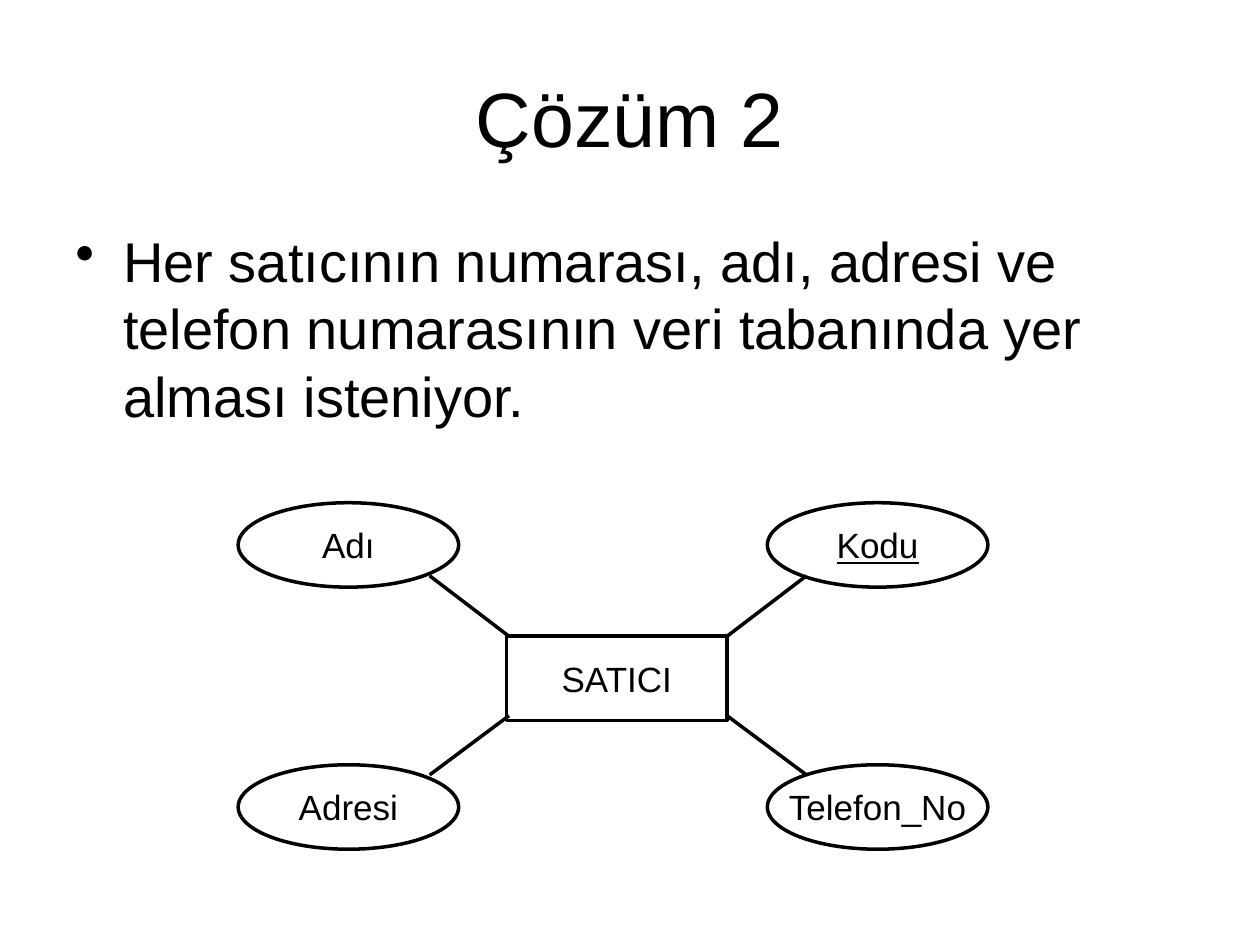
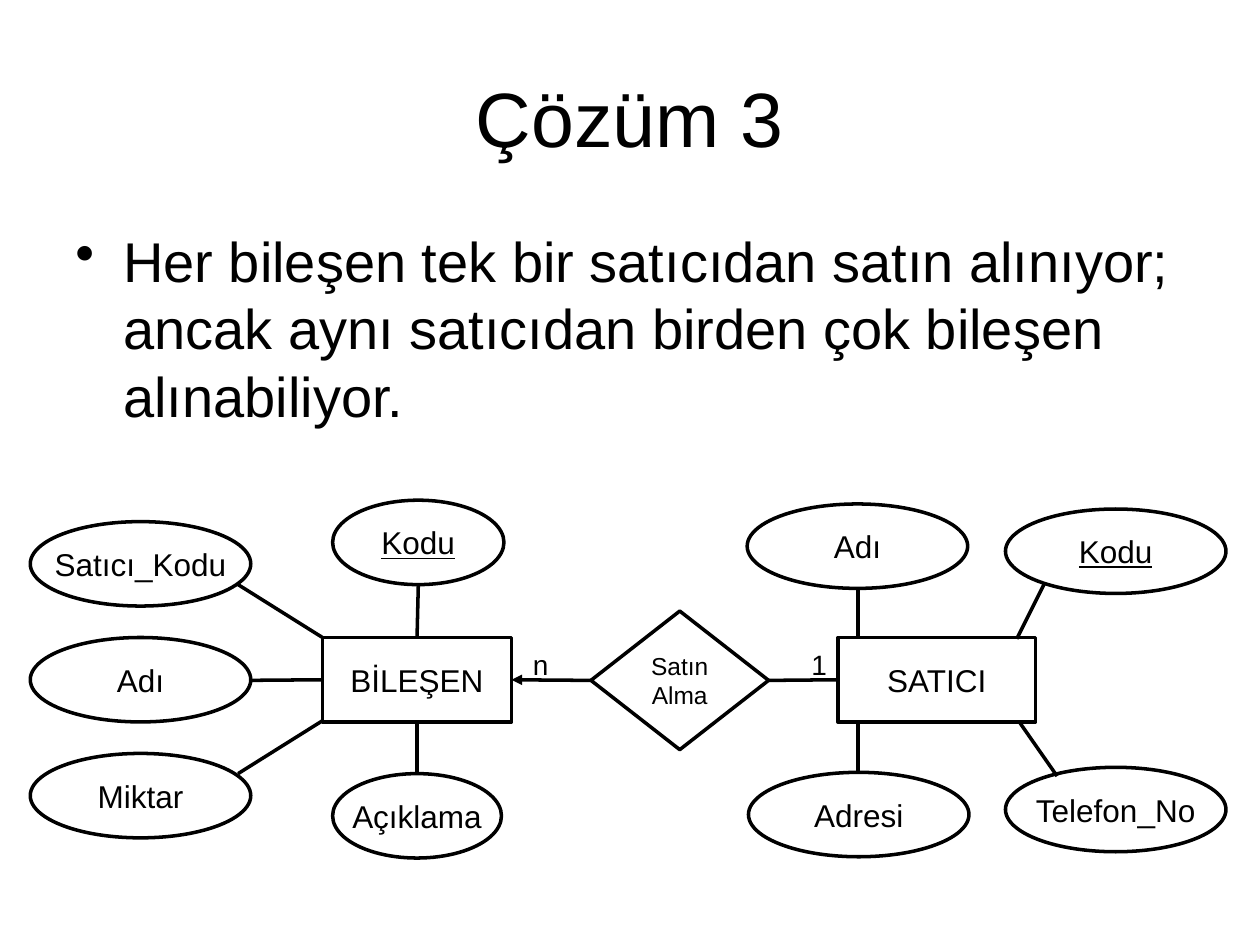
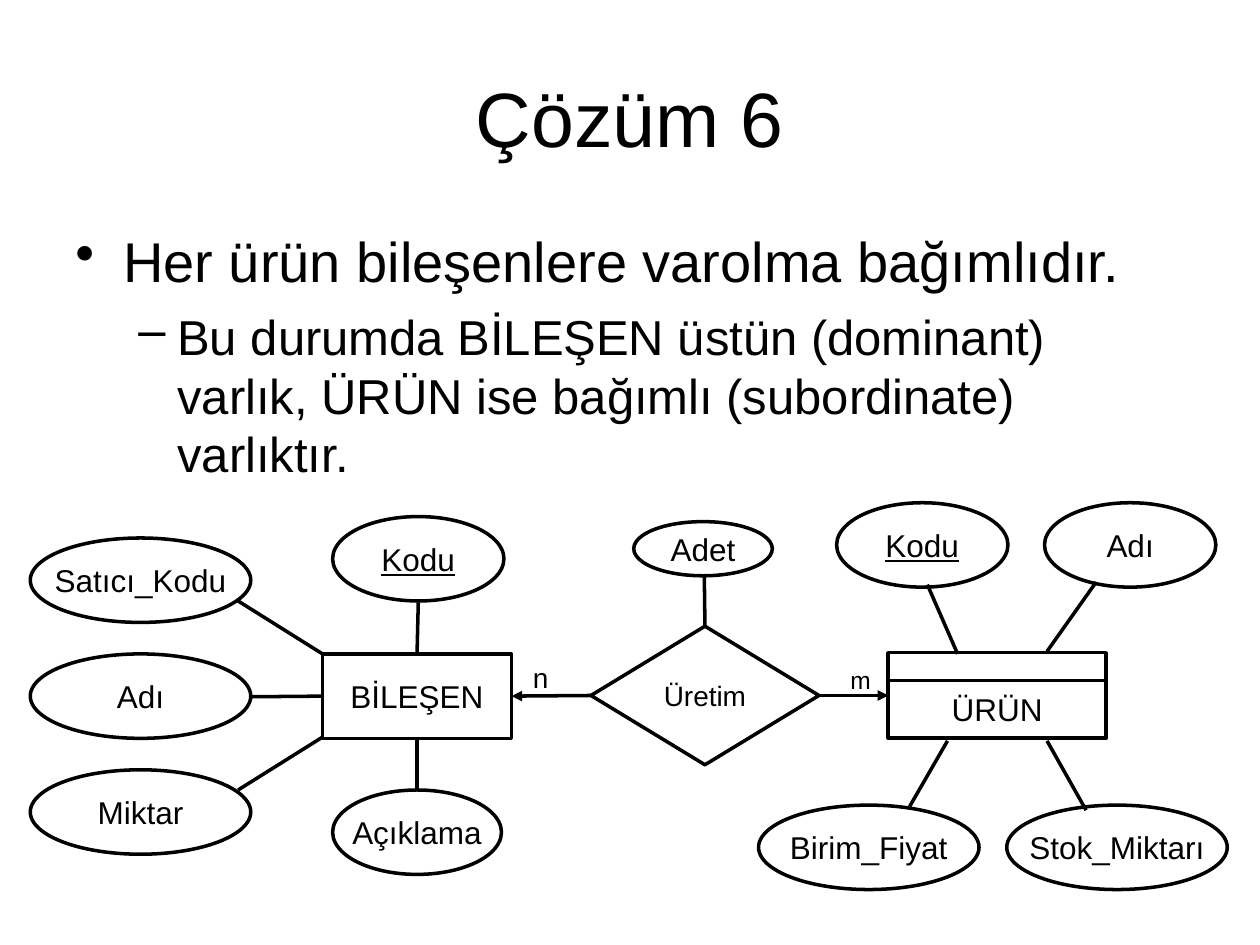
from lxml import etree
from pptx import Presentation
from pptx import util as u
from pptx.dml.color import RGBColor
from pptx.enum import shapes, text
from pptx.oxml import ns

FONT = "Arial"
BLACK = "000000"
LINE_WIDTH = 2
W, H = 1.75, 0.67  # usual size of an attribute or entity
RECT, OVAL, DIAMOND = (shapes.MSO_SHAPE.RECTANGLE, shapes.MSO_SHAPE.OVAL,
                       shapes.MSO_SHAPE.DIAMOND)
TOP, LEFT, BOTTOM, RIGHT = range(4)
# Outline levels: size, space before, indent, hanging indent, bullet
LEVELS = [(32, 8, 0.38, 0.38, "•"), (28, 7, 0.81, 0.31, "–")]


def color(hex_value):
    return RGBColor.from_string(hex_value)


def write(frame, words, size, align=text.PP_ALIGN.CENTER, before=0, wrap=True,
          anchor=text.MSO_ANCHOR.MIDDLE, underline=False, new=False):
    frame.word_wrap = wrap
    frame.vertical_anchor = anchor
    paragraph = frame.add_paragraph() if new else frame.paragraphs[0]
    paragraph.alignment = align
    paragraph.space_before = u.Pt(before)
    run = paragraph.add_run()
    run.text = words
    run.font.name, run.font.size = FONT, u.Pt(size)
    run.font.color.rgb = color(BLACK)
    if underline:
        run.font.underline = True
    return paragraph


# Nodes: kind, text, left, top, width, height, size (keys are underlined)
# Links: from, to, arrow; an end is a point or a (node, side) pair
# Labels: text, left, top, height, size, space before
pages = [
    dict(
        title="Çözüm 2", body_height=2.47,
        body=["Her satıcının numarası, adı, adresi ve telefon numarasının "
              "veri tabanında yer alması isteniyor."],
        nodes=[
            (RECT, "SATICI", 4.02, 5.05, W, H, 20),
            (OVAL, "Adı", 1.89, 3.99, W, H, 20),
            (OVAL, "Kodu", 6.09, 3.99, W, H, 20),
            (OVAL, "Adresi", 1.89, 6.07, W, H, 20),
            (OVAL, "Telefon_No", 6.09, 6.07, W, H, 20),
        ],
        links=[
            ((3.41, 4.57), (4.04, 5.05), False),
            ((6.4, 4.57), (5.77, 5.05), False),
            ((4.04, 5.68), (3.41, 6.15), False),
            ((5.77, 5.68), (6.4, 6.15), False),
        ],
        labels=[],
    ),
    dict(
        title="Çözüm 3", body_height=2.47, component_top=5.06,
        body=["Her bileşen tek bir satıcıdan satın alınıyor; ancak aynı "
              "satıcıdan birden çok bileşen alınabiliyor."],
        nodes=[
            (RECT, "SATICI", 6.65, 5.06, 1.57, H, 18),
            (OVAL, "Adı", 5.93, 4, W, H, 18),
            (OVAL, "Kodu", 7.98, 4.04, W, H, 18),
            (OVAL, "Adresi", 5.94, 6.13, W, H, 18),
            (OVAL, "Telefon_No", 7.98, 6.09, W, H, 18),
            (DIAMOND, "Satın Alma", 4.69, 4.85, 1.41, 1.1, 14),
        ],
        links=[
            ((6.81, 4.67), (6.81, 5.07), False),
            ((8.29, 4.63), (8.07, 5.07), False),
            ((8.09, 5.73), (8.39, 6.16), False),
            ((6.81, 5.73), (6.81, 6.13), False),
            (("Satın Alma", RIGHT), ("SATICI", LEFT), False),
            (("Satın Alma", LEFT), ("BİLEŞEN", RIGHT), True),
        ],
        labels=[("n", 4.13, 5.09, 0.37, 16, 10), ("1", 6.34, 5.09, 0.37, 16, 10)],
    ),
    dict(
        title="Çözüm 6", body_height=4.95, component_top=5.19,
        body=["Her ürün bileşenlere varolma bağımlıdır.",
              "Bu durumda BİLEŞEN üstün (dominant) varlık, ÜRÜN ise bağımlı "
              "(subordinate) varlıktır."],
        nodes=[
            (RECT, "", 7.05, 5.18, 1.73, 0.22, 18),
            (RECT, "ÜRÜN", 7.05, 5.4, 1.73, 0.46, 18),
            (OVAL, "Kodu", 6.64, 3.99, 1.36, H, 18),
            (OVAL, "Adı", 8.29, 3.99, 1.36, H, 18),
            (OVAL, "Birim_Fiyat", 6.02, 6.39, W, H, 18),
            (OVAL, "Stok_Miktarı", 7.99, 6.39, W, H, 18),
            (OVAL, "Adet", 5.03, 4.14, 1.1, 0.43, 18),
            (DIAMOND, "Üretim", 4.69, 4.97, 1.81, 1.1, 16),
        ],
        links=[
            ((7.36, 4.64), (7.6, 5.19), False),
            ((8.7, 4.62), (8.31, 5.17), False),
            ((7.52, 5.88), (7.22, 6.4), False),
            ((8.31, 5.88), (8.62, 6.43), False),
            ((5.59, 4.57), ("Üretim", TOP), False),
            (("Üretim", RIGHT), (7.05, 5.52), True),
            (("Üretim", LEFT), ("BİLEŞEN", RIGHT), True),
        ],
        labels=[("n", 4.13, 5.19, 0.37, 16, 10), ("m", 6.65, 5.23, 0.34, 14, 8.8)],
    ),
]

prs = Presentation()
prs.slide_width, prs.slide_height = u.Inches(10), u.Inches(7.5)

for page in pages:
    slide = prs.slides.add_slide(prs.slide_layouts[6])

    # Title
    title = slide.shapes.add_textbox(*map(u.Inches, (0.5, 0.3, 9, 1.25)))
    write(title.text_frame, page["title"], 44)

    # Outline, one level deeper per paragraph
    outline = slide.shapes.add_textbox(
        *map(u.Inches, (0.5, 1.75, 9, page["body_height"])))
    for level, words in enumerate(page["body"]):
        size, before, indent, hanging, bullet = LEVELS[level]
        paragraph = write(outline.text_frame, words, size, before=before,
                          align=text.PP_ALIGN.LEFT, new=level > 0,
                          anchor=text.MSO_ANCHOR.TOP)
        paragraph.level = level
        props = paragraph._p.get_or_add_pPr()
        props.set("marL", str(u.Inches(indent)))
        props.set("indent", str(-u.Inches(hanging)))
        etree.SubElement(props, ns.qn("a:buChar"), char=bullet)

    # BİLEŞEN entity with its attributes, placed from its top edge
    nodes, links = list(page["nodes"]), list(page["links"])
    if "component_top" in page:
        y = page["component_top"]
        nodes += [
            (RECT, "BİLEŞEN", 2.56, y, 1.5, H, 18),
            (OVAL, "Kodu", 2.64, y - 1.09, 1.36, H, 18),
            (OVAL, "Açıklama", 2.64, y + 1.08, 1.34, H, 18),
        ]
        for row, words in enumerate(["Satıcı_Kodu", "Adı", "Miktar"]):
            nodes.append((OVAL, words, 0.24, y + 0.92 * (row - 1), W, H, 18))
        links += [
            ((1.89, y - 0.42), (2.56, y), False),
            ((1.98, y + 0.34), ("BİLEŞEN", LEFT), False),
            ((1.89, y + 1.08), (2.56, y + 0.66), False),
            ((3.32, y - 0.41), ("BİLEŞEN", TOP), False),
            ((3.31, y + 1.07), ("BİLEŞEN", BOTTOM), False),
        ]

    # Entities, attributes and relationships
    placed = {}
    for kind, words, left, top, width, height, size in nodes:
        node = slide.shapes.add_shape(
            kind, *map(u.Inches, (left, top, width, height)))
        node.shadow.inherit = False
        node.fill.background()
        node.line.color.rgb = color(BLACK)
        node.line.width = u.Pt(LINE_WIDTH)
        if words:
            write(node.text_frame, words, size, wrap=kind == DIAMOND,
                  underline=words == "Kodu")
        placed[words] = node

    # Links
    for start, end, arrow in links:
        points = [(0, 0) if point[0] in placed else point for point in (start, end)]
        link = slide.shapes.add_connector(
            shapes.MSO_CONNECTOR.STRAIGHT,
            *[u.Inches(value) for point in points for value in point])
        if start[0] in placed:
            link.begin_connect(placed[start[0]], start[1])
        if end[0] in placed:
            link.end_connect(placed[end[0]], end[1])
        link.line.color.rgb = color(BLACK)
        link.line.width = u.Pt(LINE_WIDTH)
        if arrow:
            etree.SubElement(link.line._get_or_add_ln(), ns.qn("a:tailEnd"),
                             type="triangle")
        etree.SubElement(link._element.spPr, ns.qn("a:effectLst"))

    # Cardinalities
    for words, left, top, height, size, before in page["labels"]:
        label = slide.shapes.add_textbox(
            *map(u.Inches, (left, top, 0.31, height)))
        write(label.text_frame, words, size, align=text.PP_ALIGN.LEFT,
              before=before, anchor=text.MSO_ANCHOR.TOP)

prs.save("out.pptx")
